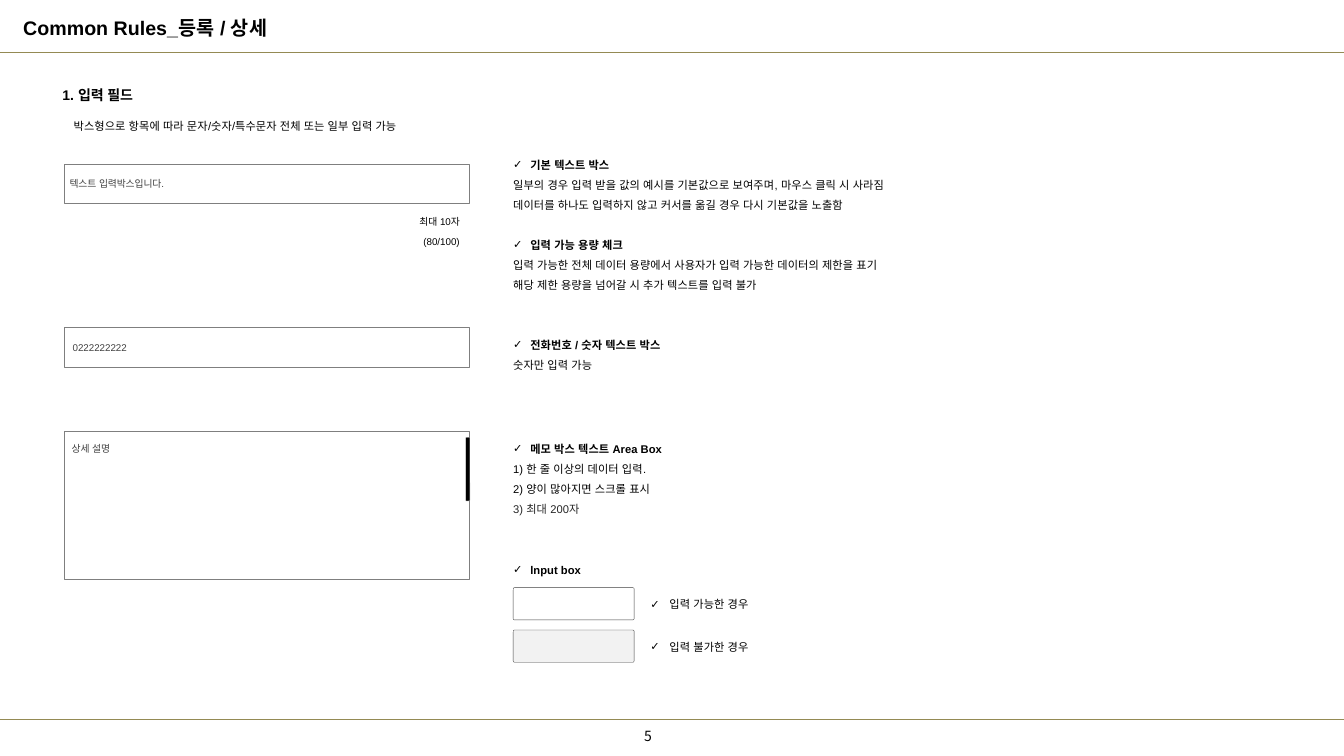
from lxml.etree import SubElement
from pptx import Presentation
from pptx.dml.color import RGBColor
from pptx.enum.shapes import MSO_CONNECTOR, MSO_SHAPE
from pptx.enum.text import MSO_ANCHOR, MSO_AUTO_SIZE, PP_ALIGN
from pptx.oxml.ns import qn
from pptx.util import Inches, Pt

BLACK = RGBColor(0x00, 0x00, 0x00)
OLIVE = RGBColor(0x94, 0x8A, 0x54)
GRAY = RGBColor(0x7F, 0x7F, 0x7F)
LIGHT_GRAY = RGBColor(0xA6, 0xA6, 0xA6)
DARK_GRAY = RGBColor(0x40, 0x40, 0x40)
INK = RGBColor(0x26, 0x26, 0x26)
DISABLED = RGBColor(0xF2, 0xF2, 0xF2)

SLIDE_WIDTH, SLIDE_HEIGHT = 13.33, 7.5
FIELD_LEFT, FIELD_WIDTH = 0.64, 4.01
RULE_LEFT = 5.09
RULE_INSETS = (0, 0.05, 0, 0.05)
LABEL_INSETS = (0.09, 0.05, 0.09, 0.05)

TITLE = "Common Rules_등록 / 상세"
# text, (left, top, width, height), format
LABELS = [
    ("1. 입력 필드", (0.53, 0.81, 1.97, 0.26), dict(size=10, bold=True)),
    ("박스형으로 항목에 따라 문자/숫자/특수문자 전체 또는 일부 입력 가능",
     (0.64, 1.13, 5.25, 0.23), dict(size=8)),
    ("최대 10자", (3.94, 2.09, 0.71, 0.21), dict(size=7, align=PP_ALIGN.RIGHT)),
    ("(80/100)", (4.07, 2.29, 0.58, 0.21), dict(size=7, align=PP_ALIGN.RIGHT)),
]
# text, top, height, insets, anchor
FIELDS = [
    ("텍스트 입력박스입니다.", 1.63, 0.39, (0.05, 0, 0, 0), MSO_ANCHOR.MIDDLE),
    ("0222222222", 3.25, 0.39, (0.08, 0, 0, 0), MSO_ANCHOR.MIDDLE),
    ("상세 설명", 4.28, 1.47, (0.07, 0.11, 0, 0), MSO_ANCHOR.TOP),
]
HEADING = dict(bold=True, indent=0.17)
GAP_HEADING = dict(HEADING, before=14.3)
PLAIN = {}
MAIN_RULES = [
    ("기본 텍스트 박스", HEADING),
    ("일부의 경우 입력 받을 값의 예시를 기본값으로 보여주며, 마우스 클릭 시 사라짐", PLAIN),
    ("데이터를 하나도 입력하지 않고 커서를 옮길 경우 다시 기본값을 노출함", PLAIN),
    ("입력 가능 용량 체크", GAP_HEADING),
    ("입력 가능한 전체 데이터 용량에서 사용자가 입력 가능한 데이터의 제한을 표기", PLAIN),
    ("해당 제한 용량을 넘어갈 시 추가 텍스트를 입력 불가", PLAIN),
]
# top, height, rules
OTHER_RULES = [
    (3.24, 0.45, [("전화번호 / 숫자 텍스트 박스", HEADING), ("숫자만 입력 가능", PLAIN)]),
    (4.27, 1.19, [
        ("메모 박스 텍스트 Area Box", HEADING),
        ("1) 한 줄 이상의 데이터 입력.", PLAIN),
        ("2) 양이 많아지면 스크롤 표시", PLAIN),
        ("3) 최대 200자", dict(color=INK)),
    ]),
]
INPUT_HEADING = "lnput box"
INPUT_STATES = [("입력 가능한 경우", None), ("입력 불가한 경우", DISABLED)]


def place(shape, box):
    shape.left, shape.top, shape.width, shape.height = map(Inches, box)


def prepare_frame(shape, insets, anchor=MSO_ANCHOR.TOP, wrap=True):
    frame = shape.text_frame
    frame.auto_size = MSO_AUTO_SIZE.NONE
    frame.word_wrap = wrap
    frame.vertical_anchor = anchor
    (frame.margin_left, frame.margin_top,
     frame.margin_right, frame.margin_bottom) = map(Inches, insets)
    return frame


def write(paragraph, text, size=8, bold=False, color=BLACK, font="Arial",
          align=PP_ALIGN.LEFT, spacing=1.0, before=0, indent=0):
    """Fill a paragraph; an indent above zero gives it a check-mark bullet."""
    paragraph.alignment = align
    paragraph.line_spacing = spacing
    paragraph.space_before = Pt(before)
    properties = paragraph._p.get_or_add_pPr()
    properties.set("marL", str(Inches(indent)))
    properties.set("indent", str(-Inches(indent)))
    if indent:
        SubElement(properties, qn("a:buFont")).set("typeface", "Arial")
        SubElement(properties, qn("a:buChar")).set("char", "✓")
    else:
        SubElement(properties, qn("a:buNone"))
    run = paragraph.add_run()
    run.text = text
    run.font.size = Pt(size)
    run.font.bold = bold
    run.font.name = font
    run.font.color.rgb = color
    SubElement(run._r.get_or_add_rPr(), qn("a:ea")).set("typeface", font)


def add_text(slide, text, box, insets=LABEL_INSETS, wrap=True, **text_format):
    shape = slide.shapes.add_textbox(*map(Inches, box))
    write(prepare_frame(shape, insets, wrap=wrap).paragraphs[0], text, **text_format)


def write_rules(shape, rules):
    frame = prepare_frame(shape, RULE_INSETS)
    for index, (text, text_format) in enumerate(rules):
        paragraph = frame.add_paragraph() if index else frame.paragraphs[0]
        write(paragraph, text, spacing=1.5, **text_format)


def add_box(slide, box, line, fill=None, corner=0):
    shape = slide.shapes.add_shape(MSO_SHAPE.ROUNDED_RECTANGLE, *map(Inches, box))
    shape.adjustments[0] = corner
    shape.shadow.inherit = False
    if fill is None:
        shape.fill.background()
    else:
        shape.fill.solid()
        shape.fill.fore_color.rgb = fill
    shape.line.color.rgb = line
    shape.line.width = Pt(0.25)
    return shape


def add_rule_line(slide, top):
    line = slide.shapes.add_connector(
        MSO_CONNECTOR.STRAIGHT, 0, Inches(top), Inches(SLIDE_WIDTH), Inches(top))
    line.line.color.rgb = OLIVE
    line.line.width = Pt(1)
    SubElement(line._element.spPr, qn("a:effectLst"))


def main():
    presentation = Presentation()
    presentation.slide_width = Inches(SLIDE_WIDTH)
    presentation.slide_height = Inches(SLIDE_HEIGHT)
    slide = presentation.slides.add_slide(presentation.slide_layouts[1])

    for top in (7.14, 0.52):
        add_rule_line(slide, top)
    add_text(slide, "5", (6.29, 7.17, 0.38, 0.27), insets=(0.1, 0.05, 0.1, 0.05),
             size=10, font="Noto Sans CJK KR")

    title = slide.shapes.title
    place(title, (0.13, 0.01, 13.07, 0.52))
    frame = prepare_frame(title, (0.1, 0.05, 0.1, 0.05), MSO_ANCHOR.MIDDLE)
    write(frame.paragraphs[0], TITLE, size=14, bold=True)

    for text, box, text_format in LABELS:
        add_text(slide, text, box, **text_format)

    for text, top, height, insets, anchor in FIELDS:
        field = add_box(slide, (FIELD_LEFT, top, FIELD_WIDTH, height), GRAY)
        frame = prepare_frame(field, insets, anchor)
        write(frame.paragraphs[0], text, size=7, color=DARK_GRAY)
    add_box(slide, (4.62, 4.34, 0.04, 0.63), LIGHT_GRAY, fill=BLACK, corner=0.17)

    body = slide.placeholders[1]
    place(body, (RULE_LEFT, 1.45, 4.9, 1.58))
    write_rules(body, MAIN_RULES)
    for top, height, rules in OTHER_RULES:
        box = (RULE_LEFT, top, 3.8, height)
        write_rules(slide.shapes.add_textbox(*map(Inches, box)), rules)

    add_text(slide, INPUT_HEADING, (RULE_LEFT, 5.54, 2.39, 0.24),
             insets=RULE_INSETS, **HEADING)
    for index, (text, fill) in enumerate(INPUT_STATES):
        top = 5.83 + 0.42 * index
        add_box(slide, (RULE_LEFT, top, 1.2, 0.32), DARK_GRAY, fill, corner=0.045)
        add_text(slide, text, (6.45, top + 0.05, 1.26, 0.24),
                 insets=RULE_INSETS, indent=0.19)

    presentation.save("out.pptx")


if __name__ == "__main__":
    main()
